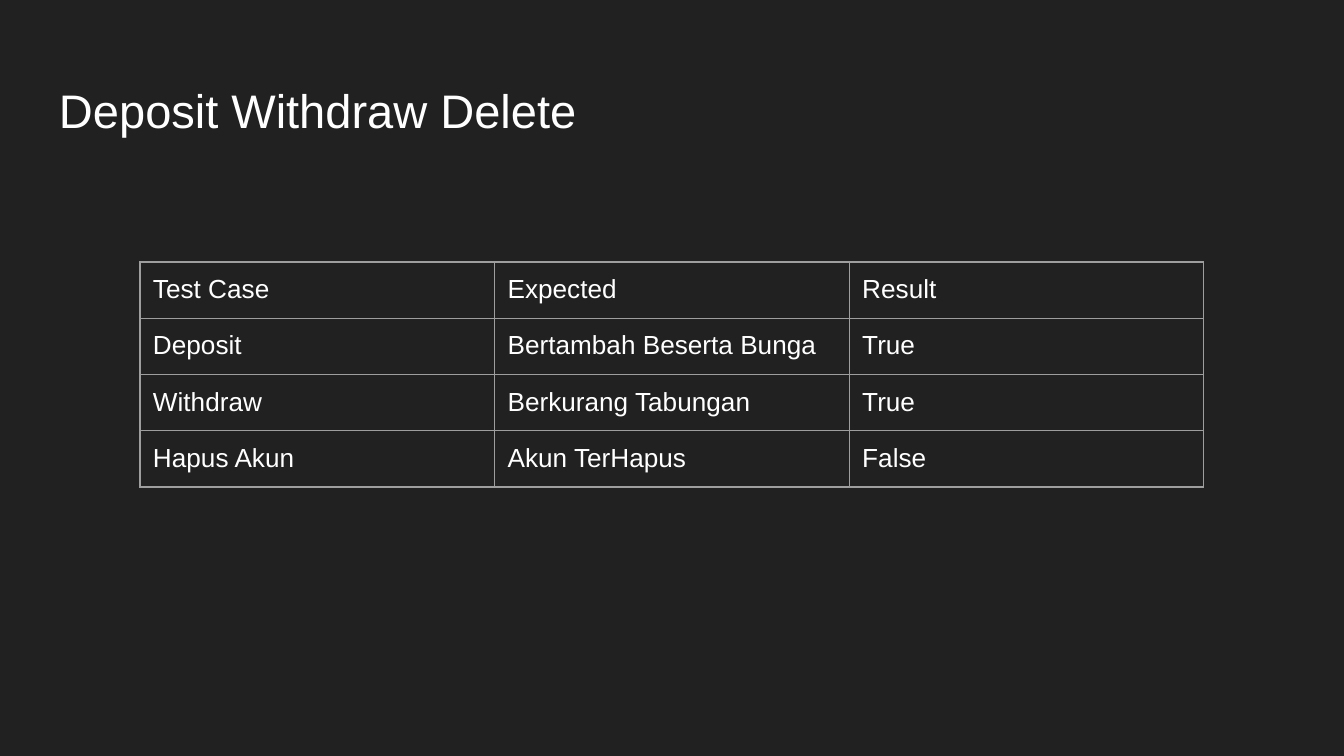
from dataclasses import dataclass

import lxml.etree
import pptx
import pptx.dml.color
import pptx.enum.text
import pptx.oxml.ns
import pptx.util

PX = 914400 / 134.4


@dataclass(frozen=True)
class Theme:
    background: str = "212121"
    ink: str = "FFFFFF"
    grid: str = "9E9E9E"
    font: str = "Arial"
    title_size: float = 25.2
    cell_size: float = 14
    grid_width: float = 0.75
    inset: int = 13


THEME = Theme()

TEST_CASES = [
    ("Test Case", "Expected", "Result"),
    ("Deposit", "Bertambah Beserta Bunga", "True"),
    ("Withdraw", "Berkurang Tabungan", "True"),
    ("Hapus Akun", "Akun TerHapus", "False"),
]


def emu(px):
    return pptx.util.Emu(round(px * PX))


def rgb(value):
    return pptx.dml.color.RGBColor.from_string(value)


def write(paragraph, wording, size):
    paragraph.alignment = pptx.enum.text.PP_ALIGN.LEFT
    paragraph.line_spacing = 1.0
    paragraph.space_before = pptx.util.Pt(0)
    run = paragraph.add_run()
    run.text = wording
    run.font.name = THEME.font
    run.font.size = pptx.util.Pt(size)
    run.font.color.rgb = rgb(THEME.ink)


def set_insets(holder):
    inset = emu(THEME.inset)
    holder.margin_left = holder.margin_right = inset
    holder.margin_top = holder.margin_bottom = inset


def draw_borders(cell):
    properties = cell._tc.get_or_add_tcPr()
    qn = pptx.oxml.ns.qn
    for position, side in enumerate(("a:lnL", "a:lnR", "a:lnT", "a:lnB")):
        border = lxml.etree.Element(qn(side), w=str(pptx.util.Pt(THEME.grid_width)))
        fill = lxml.etree.SubElement(border, qn("a:solidFill"))
        lxml.etree.SubElement(fill, qn("a:srgbClr"), val=THEME.grid)
        properties.insert(position, border)


def add_title(slide, left, top, width, height):
    title = slide.shapes.title
    title.left, title.top = emu(left), emu(top)
    title.width, title.height = emu(width), emu(height)
    frame = title.text_frame
    frame.word_wrap = True
    frame.auto_size = pptx.enum.text.MSO_AUTO_SIZE.NONE
    frame.vertical_anchor = pptx.enum.text.MSO_ANCHOR.BOTTOM
    set_insets(frame)
    write(frame.paragraphs[0], "Deposit Withdraw Delete", THEME.title_size)


def add_test_cases(slide, left, top, width, height):
    table = slide.shapes.add_table(
        len(TEST_CASES), len(TEST_CASES[0]),
        emu(left), emu(top), emu(width), emu(height),
    ).table
    table.first_row = False
    table.horz_banding = False
    for row, wordings in enumerate(TEST_CASES):
        for column, wording in enumerate(wordings):
            cell = table.cell(row, column)
            cell.fill.solid()
            cell.fill.fore_color.rgb = rgb(THEME.background)
            set_insets(cell)
            draw_borders(cell)
            write(cell.text_frame.paragraphs[0], wording, THEME.cell_size)


def main():
    deck = pptx.Presentation()
    deck.slide_width, deck.slide_height = emu(1344), emu(756)
    slide = deck.slides.add_slide(deck.slide_layouts[5])
    slide.background.fill.solid()
    slide.background.fill.fore_color.rgb = rgb(THEME.background)
    add_title(slide, 46, 66, 1253, 85)
    add_test_cases(slide, 140, 262, 1064, 225)
    deck.save("out.pptx")


if __name__ == "__main__":
    main()
